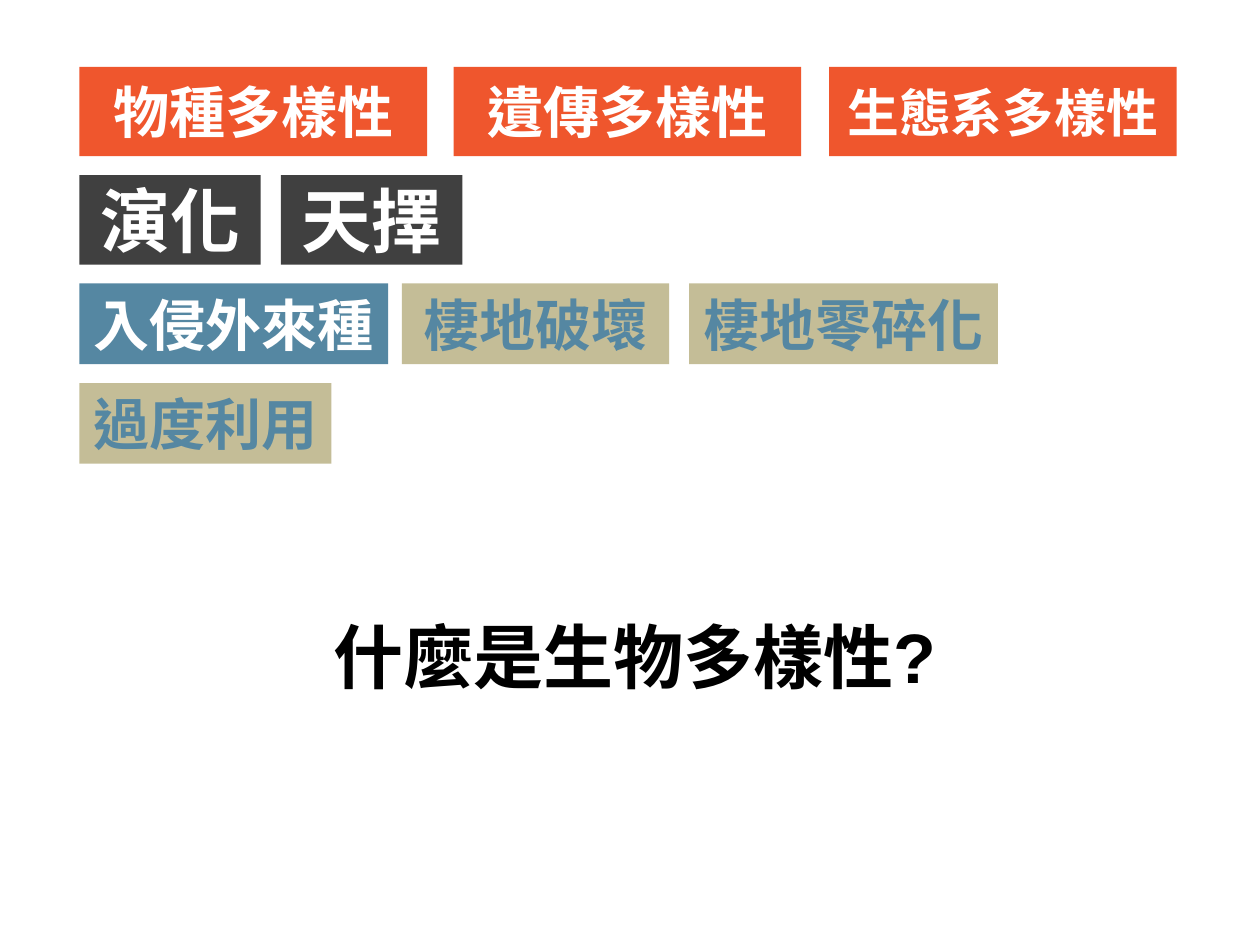
from dataclasses import dataclass

import pptx
import pptx.dml.color
import pptx.enum.lang
import pptx.enum.shapes
import pptx.enum.text
import pptx.util
from pptx.dml.color import RGBColor

SLIDE_WIDTH, SLIDE_HEIGHT = 10, 7.5
LEFT_MARGIN, TOP_MARGIN = 0.63, 0.53
ROW_GAP = 0.15

BLACK = RGBColor(0x00, 0x00, 0x00)
WHITE = RGBColor(0xFF, 0xFF, 0xFF)
ORANGE = RGBColor(0xEF, 0x56, 0x2D)
CHARCOAL = RGBColor(0x40, 0x40, 0x40)
BLUE = RGBColor(0x55, 0x87, 0xA2)
SAND = RGBColor(0xC4, 0xBD, 0x97)


@dataclass(frozen=True)
class Label:
    text: str
    width: float
    fill: RGBColor
    color: RGBColor = WHITE
    size: float = 32
    gap_before: float = 0


@dataclass(frozen=True)
class LabelRow:
    height: float
    labels: tuple[Label, ...]


LABEL_ROWS = (
    LabelRow(0.71, (
        Label("物種多樣性", 2.76, ORANGE),
        Label("遺傳多樣性", 2.76, ORANGE, gap_before=0.21),
        Label("生態系多樣性", 2.76, ORANGE, size=29.6, gap_before=0.22),
    )),
    LabelRow(0.71, (
        Label("演化", 1.44, CHARCOAL, size=40),
        Label("天擇", 1.44, CHARCOAL, size=40, gap_before=0.16),
    )),
    LabelRow(0.64, (
        Label("入侵外來種", 2.45, BLUE),
        Label("棲地破壞", 2.12, SAND, BLUE, gap_before=0.11),
        Label("棲地零碎化", 2.45, SAND, BLUE, gap_before=0.16),
    )),
    LabelRow(0.64, (Label("過度利用", 2, SAND, BLUE),)),
)


def write_text(shape, text: str, *, size: float, color: RGBColor,
               anchor=pptx.enum.text.MSO_ANCHOR.MIDDLE) -> None:
    """Fill the shape with one centred bold line."""
    frame = shape.text_frame
    frame.word_wrap = True
    frame.vertical_anchor = anchor
    paragraph = frame.paragraphs[0]
    paragraph.alignment = pptx.enum.text.PP_ALIGN.CENTER
    run = paragraph.add_run()
    run.text = text
    run.font.name = "Arial"
    run.font.size = pptx.util.Pt(size)
    run.font.bold = True
    run.font.color.rgb = color
    run.font.language_id = pptx.enum.lang.MSO_LANGUAGE_ID.TRADITIONAL_CHINESE


def draw_label(slide, label: Label, left: float, top: float, height: float) -> None:
    shape = slide.shapes.add_shape(
        pptx.enum.shapes.MSO_SHAPE.RECTANGLE,
        *map(pptx.util.Inches, (left, top, label.width, height)))
    shape.shadow.inherit = False
    shape.fill.solid()
    shape.fill.fore_color.rgb = label.fill
    shape.line.fill.background()
    shape.text_frame.margin_left = shape.text_frame.margin_right = 0
    write_text(shape, label.text, size=label.size, color=label.color)


def draw_label_rows(slide, rows: tuple[LabelRow, ...]) -> None:
    top = TOP_MARGIN
    for row in rows:
        left = LEFT_MARGIN
        for label in row.labels:
            left += label.gap_before
            draw_label(slide, label, left, top, row.height)
            left += label.width
        top += row.height + ROW_GAP


def draw_question(slide, text: str) -> None:
    box = slide.shapes.add_textbox(*map(pptx.util.Inches, (0.79, 4.82, 8.5, 1.49)))
    write_text(box, text, size=40, color=BLACK, anchor=pptx.enum.text.MSO_ANCHOR.TOP)


def main() -> None:
    presentation = pptx.Presentation()
    presentation.slide_width = pptx.util.Inches(SLIDE_WIDTH)
    presentation.slide_height = pptx.util.Inches(SLIDE_HEIGHT)
    slide = presentation.slides.add_slide(presentation.slide_layouts[6])
    draw_question(slide, "什麼是生物多樣性?")
    draw_label_rows(slide, LABEL_ROWS)
    presentation.save("out.pptx")


if __name__ == "__main__":
    main()
